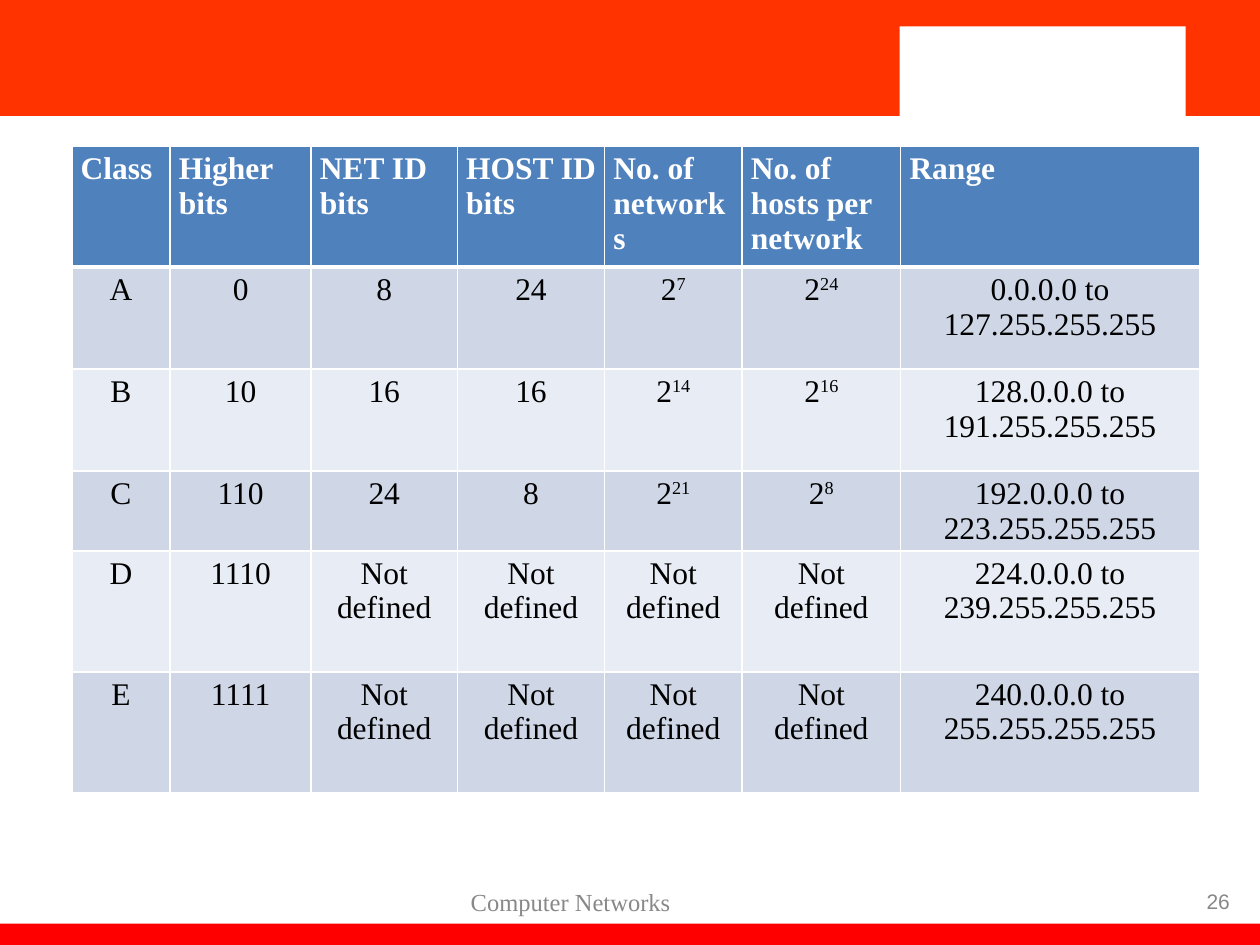
from dataclasses import dataclass

import lxml.etree
import pptx
import pptx.dml.color
import pptx.enum.shapes
import pptx.enum.text
import pptx.oxml.ns
import pptx.util

Inches = pptx.util.Inches
Pt = pptx.util.Pt
Align = pptx.enum.text.PP_ALIGN
SERIF = "Times New Roman"
WHITE, BLACK, GREY = "FFFFFF", "000000", "888888"
ORANGE, RED = "FF3300", "FF0000"
HEADER_FILL = "4F81BD"
BAND_FILLS = ("CFD7E7", "E8ECF4")


@dataclass
class Band:
    left: float
    top: float
    width: float
    height: float
    color: str


@dataclass
class Footer:
    text: str
    left: float
    top: float
    width: float
    align: Align
    font_name: str
    size: float
    right_margin: float = 0.1


@dataclass
class AddressClass:
    name: str
    higher_bits: str
    net_bits: str
    host_bits: str
    networks: str
    hosts: str
    address_range: str

    def cells(self) -> list[str]:
        return [self.name, self.higher_bits, self.net_bits, self.host_bits,
                self.networks, self.hosts, self.address_range]


BANDS = [
    Band(0, 0, 10, 0.92, ORANGE),
    Band(0, 7.33, 10, 0.22, RED),
    Band(7.14, 0.21, 2.27, 0.75, WHITE),
]
FOOTERS = [
    Footer("26", 6.86, 6.95, 3, Align.RIGHT, "Arial", 12),
    Footer("Computer Networks", 2.2, 6.96, 5.4, Align.CENTER, SERIF, 14, right_margin=0.84),
]
HEADINGS = ["Class", "Higher bits", "NET ID bits", "HOST ID bits",
            "No. of networks", "No. of hosts per network", "Range"]
UNDEFINED = ["Not defined"] * 4
# A caret marks the start of an exponent.
CLASSES = [
    AddressClass("A", "0", "8", "24", "2^7", "2^24", "0.0.0.0 to 127.255.255.255"),
    AddressClass("B", "10", "16", "16", "2^14", "2^16", "128.0.0.0 to 191.255.255.255"),
    AddressClass("C", "110", "24", "8", "2^21", "2^8", "192.0.0.0 to 223.255.255.255"),
    AddressClass("D", "1110", *UNDEFINED, "224.0.0.0 to 239.255.255.255"),
    AddressClass("E", "1111", *UNDEFINED, "240.0.0.0 to 255.255.255.255"),
]
COLUMN_WIDTHS = [0.78, 1.12, 1.16, 1.17, 1.09, 1.26, 2.37]
ROW_HEIGHTS = [0.96, 0.81, 0.81, 0.63, 0.96, 0.96]


def rgb(color: str) -> pptx.dml.color.RGBColor:
    return pptx.dml.color.RGBColor.from_string(color)


def format_run(run, name: str, size: float, color: str, bold: bool = False) -> None:
    run.font.name = name
    run.font.size = Pt(size)
    run.font.color.rgb = rgb(color)
    run.font.bold = bold


def draw_band(slide, band: Band) -> None:
    shape = slide.shapes.add_shape(
        pptx.enum.shapes.MSO_SHAPE.RECTANGLE,
        Inches(band.left), Inches(band.top), Inches(band.width), Inches(band.height))
    shape.shadow.inherit = False
    shape.fill.solid()
    shape.fill.fore_color.rgb = rgb(band.color)
    shape.line.fill.background()


def draw_footer(slide, footer: Footer) -> None:
    shape = slide.shapes.add_textbox(
        Inches(footer.left), Inches(footer.top), Inches(footer.width), Inches(0.4))
    text_frame = shape.text_frame
    text_frame.word_wrap = True
    text_frame.vertical_anchor = pptx.enum.text.MSO_ANCHOR.MIDDLE
    text_frame.margin_right = Inches(footer.right_margin)
    text_frame.text = footer.text
    paragraph = text_frame.paragraphs[0]
    paragraph.alignment = footer.align
    format_run(paragraph.runs[0], footer.font_name, footer.size, GREY)


def set_borders(cell, top: float, bottom: float) -> None:
    """Give the cell white borders; must run before the fill is set."""
    properties = cell._tc.get_or_add_tcPr()
    qn = pptx.oxml.ns.qn
    for tag, width in (("a:lnL", 1), ("a:lnR", 1), ("a:lnT", top), ("a:lnB", bottom)):
        line = lxml.etree.SubElement(properties, qn(tag), w=str(Pt(width)))
        fill = lxml.etree.SubElement(line, qn("a:solidFill"))
        lxml.etree.SubElement(fill, qn("a:srgbClr"), val=WHITE)


def fill_cell(cell, text: str, row: int) -> None:
    is_header = row == 0
    set_borders(cell, top=3 if row == 1 else 1, bottom=3 if is_header else 1)
    cell.fill.solid()
    cell.fill.fore_color.rgb = rgb(HEADER_FILL if is_header else BAND_FILLS[(row - 1) % 2])
    cell.margin_left = cell.margin_right = Inches(0.07)
    cell.margin_top = cell.margin_bottom = Inches(0.04)
    base, _, exponent = text.partition("^")
    cell.text_frame.text = base
    paragraph = cell.text_frame.paragraphs[0]
    paragraph.alignment = Align.LEFT if is_header else Align.CENTER
    if exponent:
        run = paragraph.add_run()
        run.text = exponent
        run._r.get_or_add_rPr().set("baseline", "30000")
    for run in paragraph.runs:
        format_run(run, SERIF, 18, WHITE if is_header else BLACK, is_header)


def draw_class_table(slide) -> None:
    rows = [HEADINGS] + [address_class.cells() for address_class in CLASSES]
    table = slide.shapes.add_table(
        len(rows), len(HEADINGS), Inches(0.57), Inches(1.16),
        Inches(sum(COLUMN_WIDTHS)), Inches(sum(ROW_HEIGHTS))).table
    for column, width in zip(table.columns, COLUMN_WIDTHS):
        column.width = Inches(width)
    for row, height in zip(table.rows, ROW_HEIGHTS):
        row.height = Inches(height)
    for row_index, texts in enumerate(rows):
        for column_index, text in enumerate(texts):
            fill_cell(table.cell(row_index, column_index), text, row_index)


def main() -> None:
    presentation = pptx.Presentation()
    presentation.slide_width = Inches(10)
    presentation.slide_height = Inches(7.5)
    slide = presentation.slides.add_slide(presentation.slide_layouts[6])
    for band in BANDS:
        draw_band(slide, band)
    draw_class_table(slide)
    for footer in FOOTERS:
        draw_footer(slide, footer)
    presentation.save("out.pptx")


if __name__ == "__main__":
    main()
